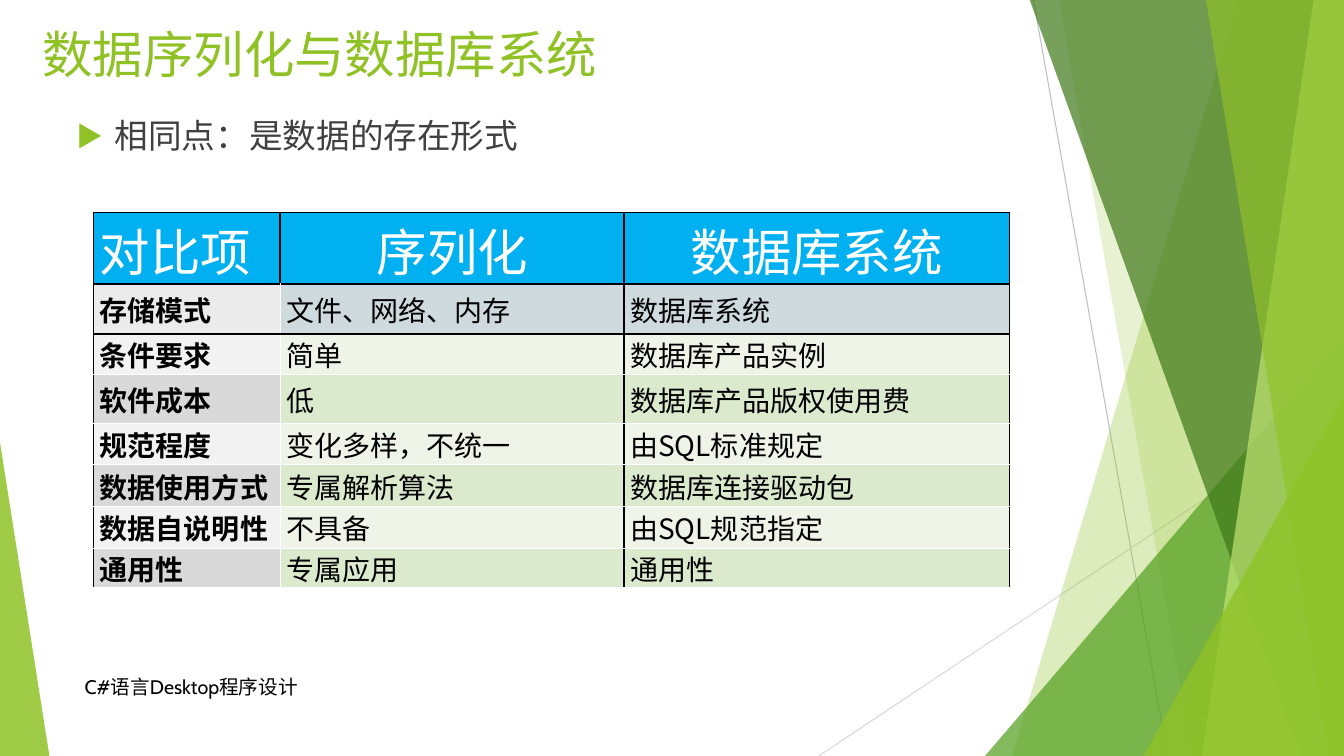
from lxml.etree import SubElement
from pptx import Presentation
from pptx.dml.color import RGBColor
from pptx.enum.shapes import MSO_CONNECTOR, MSO_SHAPE
from pptx.enum.text import MSO_ANCHOR, MSO_AUTO_SIZE, PP_ALIGN
from pptx.oxml.ns import qn
from pptx.util import Emu, Pt

PX = 9144  # 100 px to the inch
CJK = "Noto Sans CJK SC"
GREEN, BLACK, WHITE = "90C226", "000000", "FFFFFF"
rgb = RGBColor.from_string


def px(*lengths):
    return [Emu(n * PX) for n in lengths]


def write(tf, text, size, colour, font=CJK, bold=False):
    """Fill a text frame with one formatted run and return its paragraph."""
    p = tf.paragraphs[0]
    p.text = text
    r = p.runs[0]
    r.font.size, r.font.bold, r.font.name = Pt(size), bold, font
    r.font.color.rgb = rgb(colour)
    SubElement(r.font._element, qn("a:ea"), typeface=CJK)
    return p


prs = Presentation()
prs.slide_width, prs.slide_height = px(1333, 750)
s = prs.slides.add_slide(prs.slide_layouts[5])

# Thin lines behind the green facets
for x1, y1, x2, y2, colour in [(1025, 0, 1158, 750, "BFBFBF"), (1333, 403, 812, 750, "D9D9D9")]:
    line = s.shapes.add_connector(MSO_CONNECTOR.STRAIGHT, *px(x1, y1, x2, y2))
    line.line.color.rgb = rgb(colour)
    line.line.width = Pt(0.75)
    SubElement(line._element.spPr, qn("a:effectLst"))

# Bands give the top and bottom x of their slanted edge; triangles give a box and the apex position
facets = [
    ("band", (1228, 1004), GREEN, 30),
    ("band", (1050, 1183), GREEN, 20),
    ("triangle", (977, 333, 356, 417, 1), "54A021", 72),
    ("band", (1021, 1291), "3F7819", 70),
    ("band", (1303, 1192), "C0E474", 70),
    ("band", (1196, 1318), GREEN, 65),
    ("triangle", (1134, 393, 199, 357, 1), GREEN, 80),
    ("triangle", (0, 439, 49, 311, 0), GREEN, 85),
]
for kind, geometry, colour, opacity in facets:
    if kind == "band":
        x_top, x_bottom = geometry
        outline = s.shapes.build_freeform(x_top, -1, scale=PX)
        outline.add_line_segments([(1333, -1), (1333, 750), (x_bottom, 750)], close=True)
        sp = outline.convert_to_shape()
    else:
        *box, apex = geometry
        sp = s.shapes.add_shape(MSO_SHAPE.ISOSCELES_TRIANGLE, *px(*box))
        sp.adjustments[0] = apex
    sp.shadow.inherit = False
    sp.line.fill.background()
    sp.fill.solid()
    sp.fill.fore_color.rgb = rgb(colour)
    srgb = sp._element.spPr.find(qn("a:solidFill")).find(qn("a:srgbClr"))
    SubElement(srgb, qn("a:alpha"), val=str(opacity * 1000))

# Title, bullet and footer
title = s.shapes.title
title.left, title.top, title.width, title.height = px(32, 18, 575, 81)
tf = title.text_frame
tf.auto_size = MSO_AUTO_SIZE.NONE
tf.vertical_anchor = MSO_ANCHOR.TOP
write(tf, "数据序列化与数据库系统", 36, GREEN, "Cabin").alignment = PP_ALIGN.LEFT

tf = s.shapes.add_textbox(*px(66, 109, 705, 63)).text_frame
tf.word_wrap = True
p = write(tf, "相同点：是数据的存在形式", 24, "404040")
pPr = p._p.get_or_add_pPr()
pPr.set("marL", str(38 * PX))
pPr.set("indent", str(-38 * PX))
SubElement(SubElement(pPr, qn("a:buClr")), qn("a:srgbClr"), val=GREEN)
SubElement(pPr, qn("a:buSzPct"), val="80000")
SubElement(pPr, qn("a:buFont"), typeface=CJK)
SubElement(pPr, qn("a:buChar"), char="▶")

tf = s.shapes.add_textbox(*px(74, 661, 689, 40)).text_frame
tf.word_wrap = True
tf.vertical_anchor = MSO_ANCHOR.MIDDLE
write(tf, "C#语言Desktop程序设计", 14, BLACK, "Cabin")

# Comparison table
rows = [
    ("对比项", "序列化", "数据库系统"),
    ("存储模式", "文件、网络、内存", "数据库系统"),
    ("条件要求", "简单", "数据库产品实例"),
    ("软件成本", "低", "数据库产品版权使用费"),
    ("规范程度", "变化多样，不统一", "由SQL标准规定"),
    ("数据使用方式", "专属解析算法", "数据库连接驱动包"),
    ("数据自说明性", "不具备", "由SQL规范指定"),
    ("通用性", "专属应用", "通用性"),
]
col_widths = px(185, 341, 382)
row_heights = px(71, 49, 41, 48, 41, 42, 41, 39)
odd_fills, even_fills = ("D9D9D9", "DBE9CD"), ("F2F2F2", "EEF4E8")
row_fills = [("00B0F0", "00B0F0"), ("EBEBEB", "CFDADF")] + [even_fills, odd_fills] * 3

table = s.shapes.add_table(len(rows), 3, *px(93, 211, 908, 370)).table
for column, width in zip(table.columns, col_widths):
    column.width = width
for i, (row, height) in enumerate(zip(table.rows, row_heights)):
    row.height = height
    for j, cell in enumerate(row.cells):
        header = i == 0
        cell.margin_left, cell.margin_top, cell.margin_right, cell.margin_bottom = px(6, 0, 6, 0)
        cell.vertical_anchor = MSO_ANCHOR.MIDDLE
        p = write(cell.text_frame, rows[i][j], 36 if header else 20,
                  WHITE if header else BLACK, bold=j == 0 and not header)
        p.alignment = PP_ALIGN.CENTER if header and j else PP_ALIGN.LEFT

        tcPr = cell._tc.get_or_add_tcPr()
        for tag, edge in (("a:lnL", j), ("a:lnR", j + 1), ("a:lnT", i), ("a:lnB", i + 1)):
            if tag in ("a:lnL", "a:lnR"):
                black = header or edge != 1
                thick = header and edge == 1
            else:
                black = edge <= 2
                thick = edge in (1, 2)
            ln = SubElement(tcPr, qn(tag), w=str(Pt(1.5 if thick else 1)))
            SubElement(SubElement(ln, qn("a:solidFill")), qn("a:srgbClr"), val=BLACK if black else WHITE)
        cell.fill.solid()
        cell.fill.fore_color.rgb = rgb(row_fills[i][min(j, 1)])

prs.save("out.pptx")
